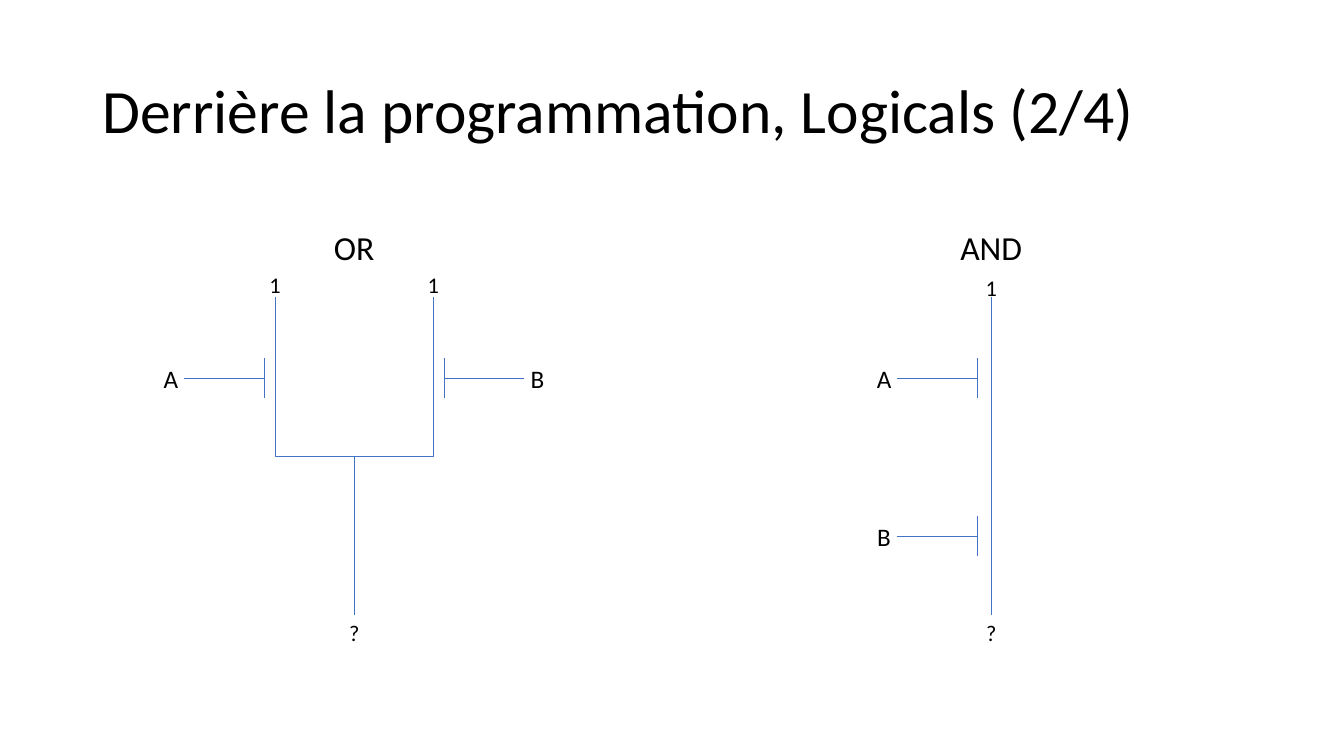
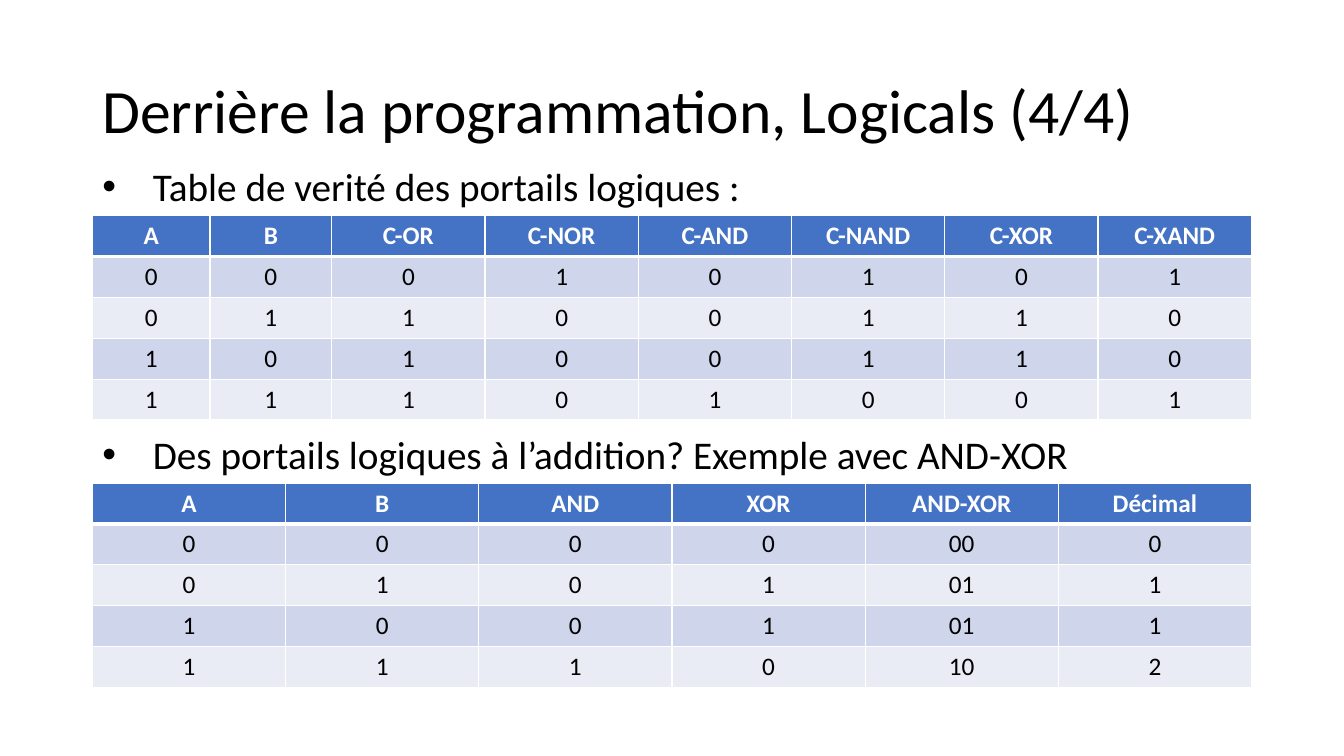
from pptx import Presentation
from pptx.dml.color import RGBColor
from pptx.enum.shapes import MSO_CONNECTOR as Connector
from pptx.enum.text import MSO_ANCHOR as Anchor, MSO_AUTO_SIZE as AutoSize, PP_ALIGN as Align
from pptx.oxml.ns import qn
from pptx.util import Pt
from lxml.etree import SubElement

FONT = "Calibri"
BLACK, WHITE, BLUE = "000000", "FFFFFF", "4472C4"
BANDS = ("CFD5EA", "E9EBF5")
LEFT, WIDTH = 66, 828
ROW_HEIGHT = 29.2
TITLE_ONLY, TWO_CONTENT = 5, 3


def color(value):
    return RGBColor.from_string(value)


def style_font(font, size, value=BLACK, bold=False):
    font.name, font.size, font.bold = FONT, Pt(size), bold
    font.color.rgb = color(value)


def place(shape, left, top, width, height):
    shape.left, shape.top = Pt(left), Pt(top)
    shape.width, shape.height = Pt(width), Pt(height)


def add_border(cell, side, width):
    """Draw one white cell edge; call in L, R, T, B order, before the fill."""
    line = SubElement(cell._tc.get_or_add_tcPr(), qn(f"a:ln{side}"), w=str(Pt(width)))
    SubElement(SubElement(line, qn("a:solidFill")), qn("a:srgbClr"), val=WHITE)


class SlideBuilder:
    def __init__(self):
        self.deck = Presentation()
        self.deck.slide_width, self.deck.slide_height = Pt(960), Pt(540)
        self.page = None

    def new_page(self, layout, title):
        self.page = self.deck.slides.add_slide(self.deck.slide_layouts[layout])
        box = self.page.shapes.title
        place(box, LEFT, 29, WIDTH, 104)
        frame = box.text_frame
        frame.text = title
        frame.auto_size, frame.vertical_anchor = AutoSize.NONE, Anchor.MIDDLE
        para = frame.paragraphs[0]
        para.alignment, para.line_spacing = Align.LEFT, 0.9
        style_font(para.font, 44)

    def label(self, text, center, top, size, width=26):
        box = self.page.shapes.add_textbox(
            Pt(center - width / 2), Pt(top), Pt(width), Pt(size * 1.22 + 7.2))
        frame = box.text_frame
        frame.text, frame.word_wrap = text, False
        para = frame.paragraphs[0]
        para.alignment = Align.CENTER
        style_font(para.font, size)
        return box

    def line(self, x1, y1, x2, y2, kind=Connector.STRAIGHT):
        wire = self.page.shapes.add_connector(kind, Pt(x1), Pt(y1), Pt(x2), Pt(y2))
        wire.line.color.rgb, wire.line.width = color(BLUE), Pt(0.5)
        SubElement(wire._element.spPr, qn("a:effectLst"))
        return wire

    def vertical_elbow(self, x1, y1, x2, y2):
        """Draw an elbow that leaves and arrives vertically, as a turned horizontal one."""
        center_x, center_y = (x1 + x2) / 2, (y1 + y2) / 2
        side = 1 if x2 > x1 else -1
        reach, rise = side * (y2 - y1) / 2, abs(x2 - x1) / 2
        wire = self.line(center_x + reach, center_y - rise,
                         center_x - reach, center_y + rise, Connector.ELBOW)
        degrees = 270 if side > 0 else 90
        wire._element.spPr.find(qn("a:xfrm")).set("rot", str(degrees * 60000))

    def gate(self, name, bar, y, side=-1):
        """Draw a transistor gate; side is -1 for an input on the left, 1 on the right."""
        end = bar + side * 57
        self.line(min(end, bar), y, max(end, bar), y)
        self.line(bar, y - 14.2, bar, y + 14.2)
        self.label(name, end + side * 9.5, y - 14.2, 18)

    def bullet(self, index, text, top):
        box = self.page.placeholders[index]
        place(box, LEFT, top, WIDTH, 41)
        frame = box.text_frame
        frame.text, frame.auto_size = text, AutoSize.NONE
        para = frame.paragraphs[0]
        para.space_before = Pt(0)
        style_font(para.font, 28)
        properties = para._p.get_or_add_pPr()
        properties.set("marL", str(Pt(36)))
        properties.set("indent", str(Pt(-36)))
        SubElement(properties, qn("a:buFont"), typeface="Arial")
        SubElement(properties, qn("a:buChar"), char="•")
        # Paragraph properties list bullets before the default run properties.
        properties.append(properties.find(qn("a:defRPr")))

    def table(self, rows, top, widths):
        table = self.page.shapes.add_table(
            len(rows), len(widths), Pt(LEFT), Pt(top),
            Pt(sum(widths)), Pt(ROW_HEIGHT * len(rows))).table
        for column, width in zip(table.columns, widths):
            column.width = Pt(width)
        for row_index, values in enumerate(rows):
            table.rows[row_index].height = Pt(ROW_HEIGHT)
            for column_index, value in enumerate(values):
                self.fill_cell(table.cell(row_index, column_index), row_index, value)

    def fill_cell(self, cell, row_index, value):
        header = row_index == 0
        edges = {"L": 1, "R": 1, "T": 3 if row_index == 1 else 1, "B": 3 if header else 1}
        for side, width in edges.items():
            add_border(cell, side, width)
        cell.fill.solid()
        cell.fill.fore_color.rgb = color(BLUE if header else BANDS[(row_index - 1) % 2])
        cell.text = value
        para = cell.text_frame.paragraphs[0]
        para.alignment = Align.CENTER
        style_font(para.font, 18, WHITE if header else BLACK, header)


def draw_circuits(builder):
    builder.new_page(TITLE_ONLY, "Derrière la programmation, Logicals (2/4)")
    top, bottom, gate_y, drop = 212.5, 439, 270, 113
    or_x, and_x, half = 253, 708, 56.5

    builder.label("OR", or_x, 158.4, 24, 44)
    for name, side in (("A", -1), ("B", 1)):
        wire_x = or_x + side * half
        builder.vertical_elbow(wire_x, top, or_x, bottom)
        builder.label("1", wire_x, 190, 16)
        builder.gate(name, wire_x + side * 8, gate_y, side)
    builder.label("?", or_x, bottom, 16)

    builder.label("AND", and_x, 158.4, 24, 59)
    builder.label("1", and_x, 192, 16)
    output = builder.label("?", and_x, bottom, 16)
    builder.line(and_x, top, and_x, bottom).end_connect(output, 0)
    for index, name in enumerate("AB"):
        builder.gate(name, and_x - 10, gate_y + index * drop)


def draw_truth_tables(builder):
    builder.new_page(TWO_CONTENT, "Derrière la programmation, Logicals (4/4)")
    gates = [
        ("A", "B", "C-OR", "C-NOR", "C-AND", "C-NAND", "C-XOR", "C-XAND"),
        "00010101",
        "01100110",
        "10100110",
        "11101001",
    ]
    addition = [
        ("A", "B", "AND", "XOR", "AND-XOR", "Décimal"),
        ("0", "0", "0", "0", "00", "0"),
        ("0", "1", "0", "1", "01", "1"),
        ("1", "0", "0", "1", "01", "1"),
        ("1", "1", "1", "0", "10", "2"),
    ]
    builder.bullet(1, "Table de verité des portails logiques :", 112.3)
    builder.table(gates, 154, [84, 87] + [109.5] * 6)
    builder.bullet(2, "Des portails logiques à l’addition? Exemple avec AND-XOR", 304)
    builder.table(addition, 345, [WIDTH / 6] * 6)


def main():
    builder = SlideBuilder()
    draw_circuits(builder)
    draw_truth_tables(builder)
    builder.deck.save("out.pptx")


if __name__ == "__main__":
    main()
